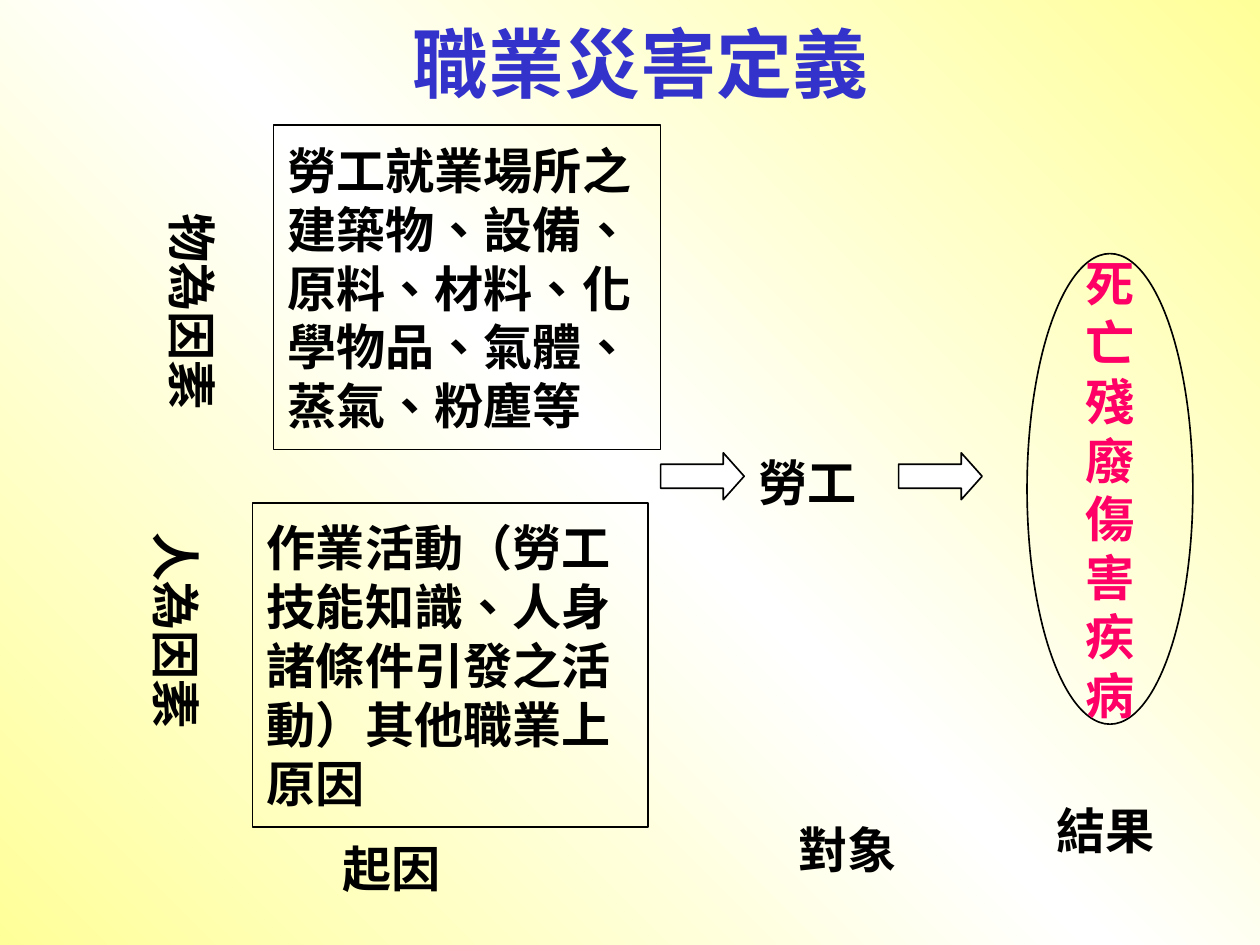
from copy import deepcopy

from pptx import Presentation
from pptx.dml.color import RGBColor
from pptx.enum.shapes import MSO_SHAPE
from pptx.enum.text import MSO_ANCHOR, PP_ALIGN
from pptx.oxml.ns import qn
from pptx.util import Cm, Pt

RECTANGLE, OVAL = MSO_SHAPE.RECTANGLE, MSO_SHAPE.OVAL
MIDDLE, TOP = MSO_ANCHOR.MIDDLE, MSO_ANCHOR.TOP
LEFT, CENTER = PP_ALIGN.LEFT, PP_ALIGN.CENTER
LABEL_FONT, BOX_FONT, TITLE_FONT = "Noto Sans CJK JP", "Noto Sans CJK SC", "Arial"
BLACK, WHITE, YELLOW, BLUE, PINK = "000000", "FFFFFF", "FFFF99", "3333CC", "FF0066"
TEXT_SIZE, LINE_PITCH = 22, 26.4


def color(value):
    return RGBColor.from_string(value)


def paint_background(page):
    fill = page.background.fill
    fill.gradient()
    fill.gradient_angle = 45
    for stop in fill.gradient_stops:
        stop.color.rgb = color(YELLOW)
    first = page.background._cSld.find(".//" + qn("a:gs"))
    first.addnext(deepcopy(first))
    middle = fill.gradient_stops[1]
    middle.position = 0.5
    middle.color.rgb = color(WHITE)


def write(frame, text, font, size, ink, align, anchor, insets, wrap=True):
    frame.word_wrap = wrap
    frame.vertical_anchor = anchor
    frame.margin_left = frame.margin_right = Cm(insets[0])
    frame.margin_top = frame.margin_bottom = Cm(insets[1])
    para = frame.paragraphs[0]
    para.alignment = align
    span = para.add_run()
    span.text = text
    span.font.size = Pt(size)
    span.font.bold = True
    span.font.color.rgb = color(ink)
    span.font.name = font
    properties = span._r.get_or_add_rPr()
    properties.set("lang", "zh-TW")
    east_asian = properties.makeelement(
        qn("a:ea"), {"typeface": LABEL_FONT if font == TITLE_FONT else font})
    properties.find(qn("a:latin")).addnext(east_asian)
    return para


def outline(shape):
    shape.shadow.inherit = False
    shape.line.color.rgb = color(BLACK)
    shape.line.width = Pt(0.75)


def add_title(page, text):
    title = page.shapes.title
    title.left, title.top, title.width, title.height = Cm(1.65), Cm(0), Cm(16.94), Cm(1.98)
    write(title.text_frame, text, TITLE_FONT, 34, BLUE, CENTER, MIDDLE, (0.2, 0.1))


def add_framed_text(page, preset, bounds, text, font, ink, align, insets):
    box = page.shapes.add_shape(preset, *map(Cm, bounds))
    box.fill.background()
    outline(box)
    para = write(box.text_frame, text, font, TEXT_SIZE, ink, align, MIDDLE, insets)
    para.line_spacing = Pt(LINE_PITCH)


def add_label(page, left, top, width, text, rotation=0, wrap=True):
    box = page.shapes.add_textbox(Cm(left), Cm(top), Cm(width), Cm(0.94))
    box.rotation = rotation
    para = write(box.text_frame, text, LABEL_FONT, TEXT_SIZE, BLACK, LEFT, TOP, (0, 0), wrap)
    para.line_spacing = Pt(LINE_PITCH)


def add_block_arrow(page, left, top):
    neck, tip, height, shaft_top, shaft_bottom = 0.99, 1.32, 0.74, 0.18, 0.56
    corners = [(neck, 0), (neck, shaft_top), (0, shaft_top), (0, shaft_bottom),
               (neck, shaft_bottom), (neck, height), (tip, height / 2)]
    points = [(Cm(left + x), Cm(top + y)) for x, y in corners]
    builder = page.shapes.build_freeform(*points[0])
    builder.add_line_segments(points[1:], close=True)
    arrow = builder.convert_to_shape()
    arrow.fill.solid()
    arrow.fill.fore_color.rgb = color(WHITE)
    outline(arrow)


def main():
    deck = Presentation()
    deck.slide_width, deck.slide_height = Cm(19.91), Cm(14.94)
    page = deck.slides.add_slide(deck.slide_layouts[5])
    paint_background(page)
    add_title(page, "職業災害定義")

    add_framed_text(page, OVAL, (16.23, 4.01, 2.62, 7.44), "死亡殘廢傷害疾病",
                    LABEL_FONT, PINK, CENTER, (0.2, 0.1))
    causes = [
        ((4.32, 1.98, 6.12, 5.13),
         "勞工就業場所之建築物、設備、原料、材料、化學物品、氣體、蒸氣、粉塵等"),
        ((3.99, 7.95, 6.25, 5.13),
         "作業活動（勞工技能知識、人身諸條件引發之活動）其他職業上原因"),
    ]
    for bounds, text in causes:
        add_framed_text(page, RECTANGLE, bounds, text, BOX_FONT, BLACK, LEFT, (0.23, 0.23))

    add_label(page, 1.5, 4.45, 3.1, "物為因素", rotation=90, wrap=False)
    add_label(page, 0.91, 9.83, 3.76, "人為因素", rotation=90)
    add_label(page, 11.99, 7.16, 3.05, "勞工")
    add_label(page, 5.41, 13.26, 1.55, "起因", wrap=False)
    add_label(page, 12.62, 12.95, 1.55, "對象", wrap=False)
    add_label(page, 16.69, 12.65, 2.67, "結果")

    for left in (10.44, 14.2):
        add_block_arrow(page, left, 7.16)
    deck.save("out.pptx")


if __name__ == "__main__":
    main()
